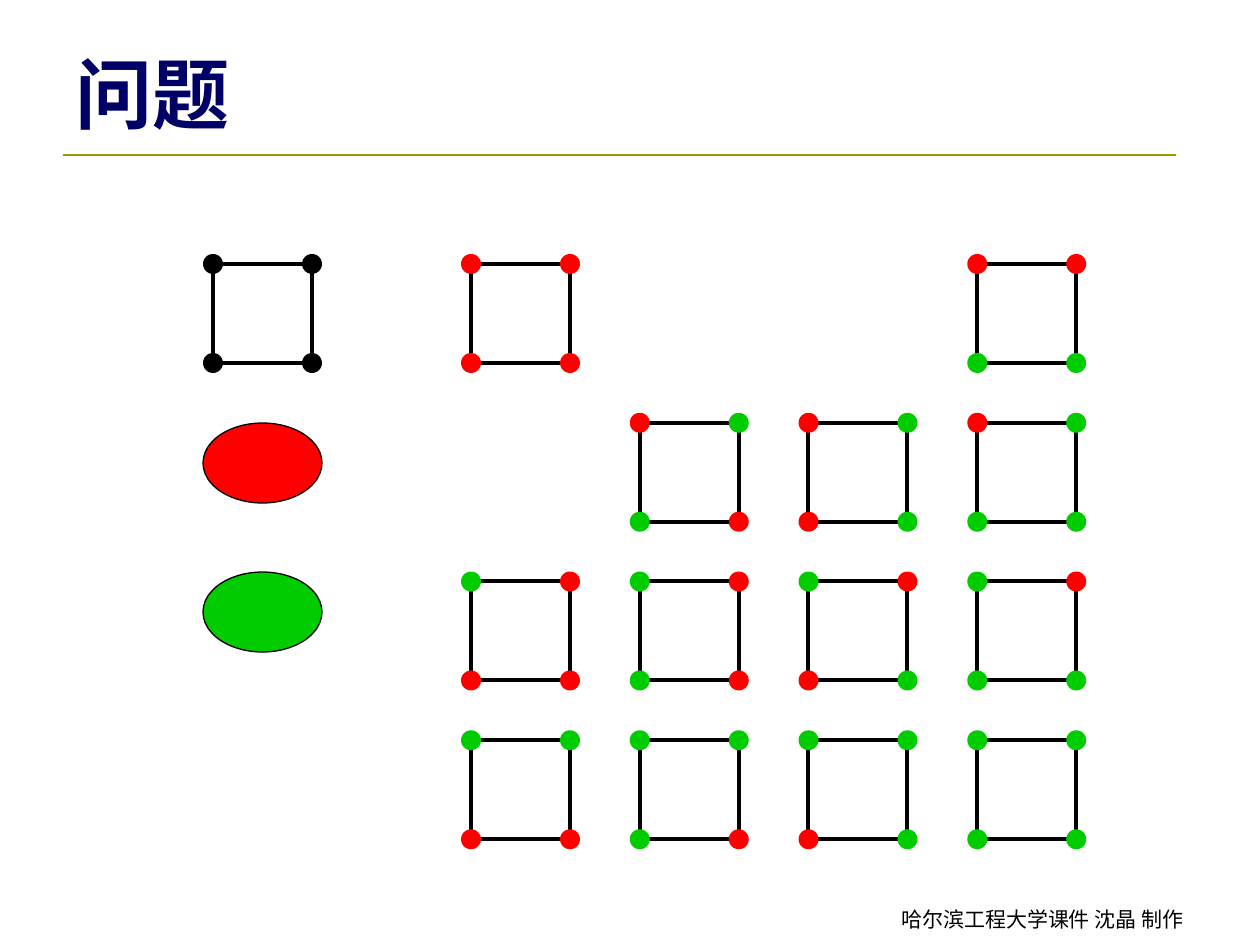
from dataclasses import dataclass
from itertools import product

from lxml.etree import SubElement
from pptx import Presentation
from pptx.dml.color import RGBColor as Rgb
from pptx.enum.shapes import MSO_CONNECTOR as Link, MSO_SHAPE as Kind
from pptx.enum.text import MSO_ANCHOR as Anchor, PP_ALIGN as Align
from pptx.oxml.ns import qn
from pptx.util import Emu, Pt

SCALE = 914400 / 126


@dataclass(frozen=True)
class Theme:
    navy: str = "000066"
    olive: str = "999900"
    black: str = "000000"
    red: str = "FF0000"
    green: str = "00CC00"
    serif: str = "Times New Roman"
    sans: str = "DejaVu Sans"
    title: int = 44
    note: int = 12
    rule: float = 1.5
    edge: float = 2.25
    thin: float = 0.75


THEME = Theme()


def px(n):
    return Emu(round(n * SCALE))


def add_text(slide, box, text, *, font, size, color, bold=False,
             align=Align.LEFT, anchor=Anchor.TOP):
    frame = slide.shapes.add_textbox(*map(px, box)).text_frame
    frame.word_wrap = True
    frame.vertical_anchor = anchor
    para = frame.paragraphs[0]
    para.alignment = align
    run = para.add_run()
    run.text = text
    run.font.name = font
    run.font.size = Pt(size)
    run.font.bold = bold
    run.font.color.rgb = Rgb.from_string(color)


def add_shape(slide, kind, box, fill=None, width=None):
    """Add a plain shape; without fill or width that part stays empty."""
    shape = slide.shapes.add_shape(kind, *map(px, box))
    shape.shadow.inherit = False
    if fill:
        shape.fill.solid()
        shape.fill.fore_color.rgb = Rgb.from_string(fill)
    else:
        shape.fill.background()
    if width:
        shape.line.color.rgb = Rgb.from_string(THEME.black)
        shape.line.width = Pt(width)
    else:
        shape.line.fill.background()


def add_rule(slide, left, right, y):
    rule = slide.shapes.add_connector(Link.STRAIGHT, px(left), px(y), px(right), px(y))
    rule.line.color.rgb = Rgb.from_string(THEME.olive)
    rule.line.width = Pt(THEME.rule)
    SubElement(rule._element.spPr, qn("a:effectLst"))


def add_head(slide, box):
    left, top, wide, high = box
    add_rule(slide, left, left + 1113, top + high + 10)
    add_text(slide, box, "问题", font=THEME.serif, size=THEME.title,
             color=THEME.navy, bold=True, anchor=Anchor.BOTTOM)


def add_foot(slide, box):
    add_text(slide, box, "哈尔滨工程大学课件 沈晶 制作", font=THEME.sans,
             size=THEME.note, color=THEME.black, align=Align.RIGHT)


def add_square(slide, left, top, colors, side=99, dot=20):
    """Draw a square with corner dots, coloured row by row from top left."""
    add_shape(slide, Kind.RECTANGLE, (left, top, side, side), width=THEME.edge)
    for (row, col), color in zip(product((0, 1), repeat=2), colors):
        spot = (left + col * side - dot / 2, top + row * side - dot / 2, dot, dot)
        add_shape(slide, Kind.OVAL, spot, color)


def add_key(slide, box):
    """Draw the plain square above the two colours to choose from."""
    left, top, wide, high = box
    add_square(slide, left + 10, top + 10, [THEME.black] * 4)
    for drop, color in ((169, THEME.red), (318, THEME.green)):
        add_shape(slide, Kind.OVAL, (left, top + drop, wide, 80), color, THEME.thin)


def add_grid(slide, box):
    """Lay out colourings: the row sets the top pair, the column the bottom."""
    left, top, wide, high = box
    red, green = THEME.red, THEME.green
    tops = ((red, red), (red, green), (green, red), (green, green))
    lows = ((red, red), (green, red), (red, green), (green, green))
    gaps = {(0, 1), (0, 2), (1, 0)}
    for row, col in product(range(4), repeat=2):
        if (row, col) not in gaps:
            add_square(slide, left + col * wide / 4, top + row * high / 4,
                       tops[row] + lows[col])


def main():
    deck = Presentation()
    deck.slide_width, deck.slide_height = px(1260), px(945)
    slide = deck.slides.add_slide(deck.slide_layouts[6])
    add_head(slide, (63, 38, 1134, 107))
    add_foot(slide, (769, 900, 427, 38))
    add_grid(slide, (471, 264, 675, 635))
    add_key(slide, (203, 254, 119, 398))
    deck.save("out.pptx")


if __name__ == "__main__":
    main()
